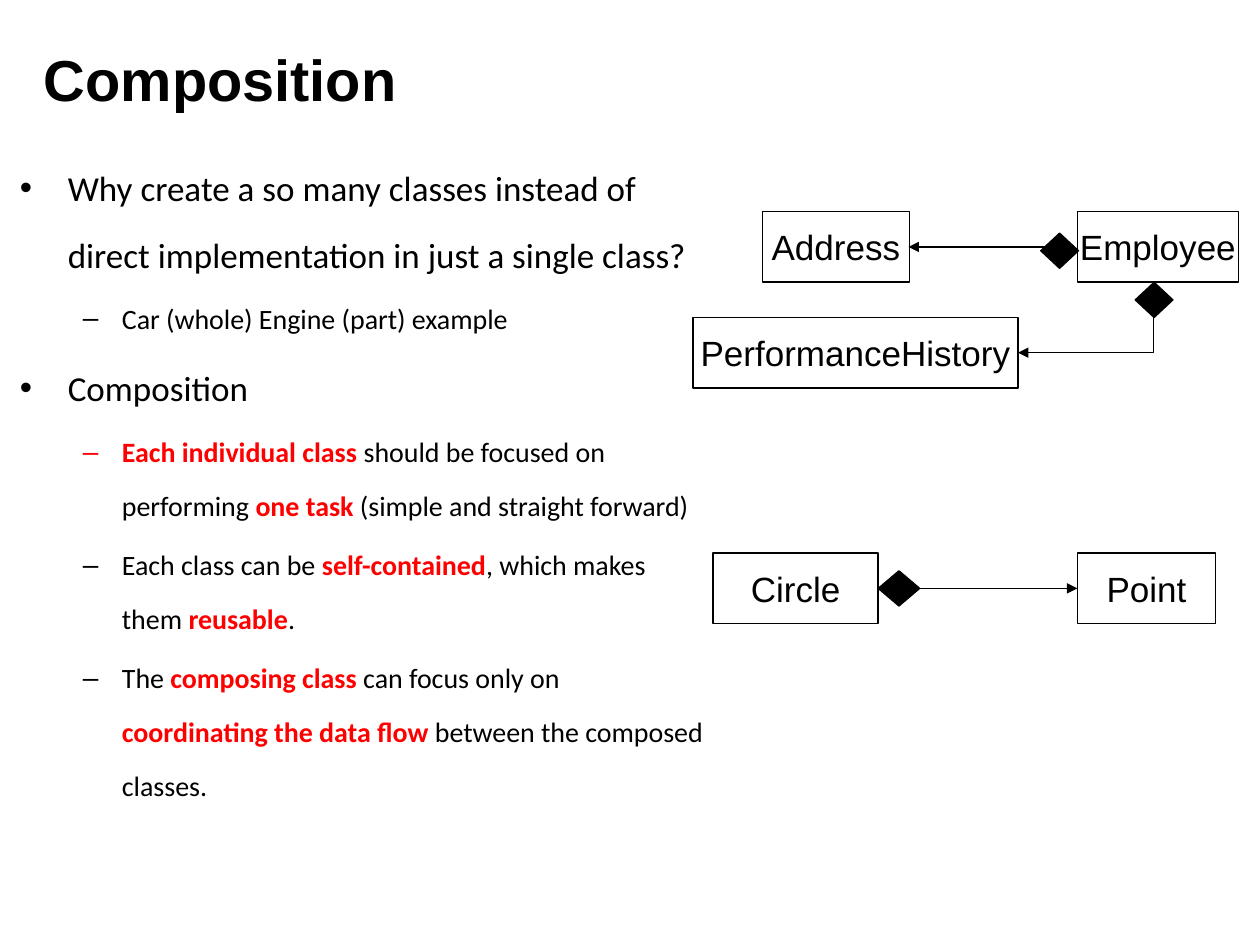
from lxml.etree import SubElement
from pptx import Presentation
from pptx.dml.color import RGBColor
from pptx.enum.shapes import MSO_CONNECTOR, MSO_SHAPE
from pptx.enum.text import MSO_ANCHOR, PP_ALIGN
from pptx.oxml.ns import qn
from pptx.util import Inches, Pt

BLACK, RED = "000000", "FF0000"
BOX_HEIGHT, DIAMOND_HEIGHT = 0.56, 0.28
TOP_ROW, HISTORY_ROW, CIRCLE_ROW = 1.68, 2.52, 4.39
RIGHT_COLUMN = 8.55
LEVELS = [
    {"size": 20, "margin": 0.38, "indent": -0.38, "bullet": "•"},
    {"size": 16, "margin": 0.81, "indent": -0.31, "bullet": "–"},
]
POINTS = [
    (0, "Why create a so many classes instead of direct implementation in just a single class?"),
    (1, "Car (whole) Engine (part) example"),
    (0, "Composition"),
    (1, "*Each individual class *should be focused on performing *one task *(simple and straight forward)"),
    (1, "Each class can be *self-contained*, which makes them *reusable*."),
    (1, "The *composing class *can focus only on *coordinating the data flow* between the composed classes."),
]
BOXES = [
    ("Circle", 5.66, CIRCLE_ROW, 1.31),
    ("Point", RIGHT_COLUMN, CIRCLE_ROW, 1.1),
    ("Address", 6.05, TOP_ROW, 1.17),
    ("Employee", RIGHT_COLUMN, TOP_ROW, 1.28),
    ("PerformanceHistory", 5.5, HISTORY_ROW, 2.58),
]
DIAMONDS = [(6.97, 4.53, 0.33), (8.26, 1.85, 0.3), (9.01, 2.24, 0.3)]


def colour(value):
    """Turn a hex string into a colour."""
    return RGBColor.from_string(value)


def apply_format(target, values):
    """Set every attribute named in a dict of format values."""
    for name, value in values.items():
        setattr(target, name, value)


def add_run(paragraph, text, size, font_name, hex_colour=BLACK, bold=False):
    """Append one formatted run to a paragraph."""
    run = paragraph.add_run()
    run.text = text
    apply_format(run.font, {"size": Pt(size), "name": font_name, "bold": bold})
    run.font.color.rgb = colour(hex_colour)


def add_text_box(slide, left, top, width, height, anchor):
    """Add a wrapping text box and return its text frame."""
    shape = slide.shapes.add_textbox(*map(Inches, (left, top, width, height)))
    apply_format(shape.text_frame, {"word_wrap": True, "vertical_anchor": anchor})
    return shape.text_frame


def add_bullet(paragraph, level):
    """Give a paragraph the bullet and hanging indent of its level."""
    properties = paragraph._p.get_or_add_pPr()
    properties.set("marL", str(Inches(level["margin"])))
    properties.set("indent", str(Inches(level["indent"])))
    SubElement(properties, qn("a:buFont"), typeface="Arial")
    SubElement(properties, qn("a:buChar"), char=level["bullet"])


def add_points(text_frame):
    """Write the bulleted points, with starred words in bold red."""
    for index, (depth, text) in enumerate(POINTS):
        paragraph = text_frame.add_paragraph() if index else text_frame.paragraphs[0]
        level = LEVELS[depth]
        add_bullet(paragraph, level)
        space = Pt(0.2 * level["size"]) if index else Pt(0)
        apply_format(paragraph, {"level": depth, "line_spacing": 1.6, "space_before": space})
        for part, words in enumerate(text.split("*")):
            if words:
                marked = part % 2 == 1
                add_run(paragraph, words, level["size"], "Calibri", RED if marked else BLACK, marked)


def add_outlined_shape(slide, kind, left, top, width, height):
    """Add a preset shape with a thin black outline."""
    shape = slide.shapes.add_shape(kind, *map(Inches, (left, top, width, height)))
    shape.shadow.inherit = False
    shape.line.color.rgb = colour(BLACK)
    shape.line.width = Pt(0.75)
    return shape


def add_class_box(slide, name, left, top, width):
    """Add a class rectangle with its centred name."""
    shape = add_outlined_shape(slide, MSO_SHAPE.RECTANGLE, left, top, width, BOX_HEIGHT)
    shape.fill.background()
    apply_format(shape.text_frame, {"word_wrap": False, "vertical_anchor": MSO_ANCHOR.MIDDLE})
    paragraph = shape.text_frame.paragraphs[0]
    paragraph.alignment = PP_ALIGN.CENTER
    add_run(paragraph, name, 20, "Arial")


def add_diamond(slide, left, top, width):
    """Add a solid composition diamond."""
    shape = add_outlined_shape(slide, MSO_SHAPE.DIAMOND, left, top, width, DIAMOND_HEIGHT)
    shape.fill.solid()
    shape.fill.fore_color.rgb = colour(BLACK)


def add_arrow(slide, start, end, arrow_end, kind=MSO_CONNECTOR.STRAIGHT):
    """Add a connector with a triangle at its headEnd or tailEnd."""
    connector = slide.shapes.add_connector(kind, *map(Inches, start + end))
    connector.line.color.rgb = colour(BLACK)
    connector.line.width = Pt(0.75)
    SubElement(connector.line._get_or_add_ln(), qn(f"a:{arrow_end}"), type="triangle")
    SubElement(connector._element.spPr, qn("a:effectLst"))
    return connector


def set_bend(connector, share):
    """Place the bend of an elbow connector at a share of its width."""
    geometry = connector._element.spPr.find(qn("a:prstGeom"))
    adjustments = geometry.find(qn("a:avLst"))
    if adjustments is None:
        adjustments = SubElement(geometry, qn("a:avLst"))
    SubElement(adjustments, qn("a:gd"), name="adj1", fmla=f"val {round(share * 100000)}")


def main():
    """Build the composition slide."""
    presentation = Presentation()
    apply_format(presentation, {"slide_width": Inches(10), "slide_height": Inches(7.5)})
    slide = presentation.slides.add_slide(presentation.slide_layouts[6])
    title = add_text_box(slide, 0.25, 0.17, 9.75, 0.91, MSO_ANCHOR.MIDDLE)
    add_run(title.paragraphs[0], "Composition", 33, "Arial", bold=True)
    add_points(add_text_box(slide, 0.06, 1.07, 5.66, 6.17, MSO_ANCHOR.TOP))
    for box in BOXES:
        add_class_box(slide, *box)
    half = BOX_HEIGHT / 2
    add_arrow(slide, (7.17, CIRCLE_ROW + half), (RIGHT_COLUMN, CIRCLE_ROW + half), "tailEnd")
    add_arrow(slide, (7.21, TOP_ROW + half), (8.44, TOP_ROW + half), "headEnd")
    elbow = add_arrow(slide, (8.08, HISTORY_ROW + half), (9.18, 2.27), "headEnd", MSO_CONNECTOR.ELBOW)
    set_bend(elbow, 0.98)
    for diamond in DIAMONDS:
        add_diamond(slide, *diamond)
    presentation.save("out.pptx")


if __name__ == "__main__":
    main()
